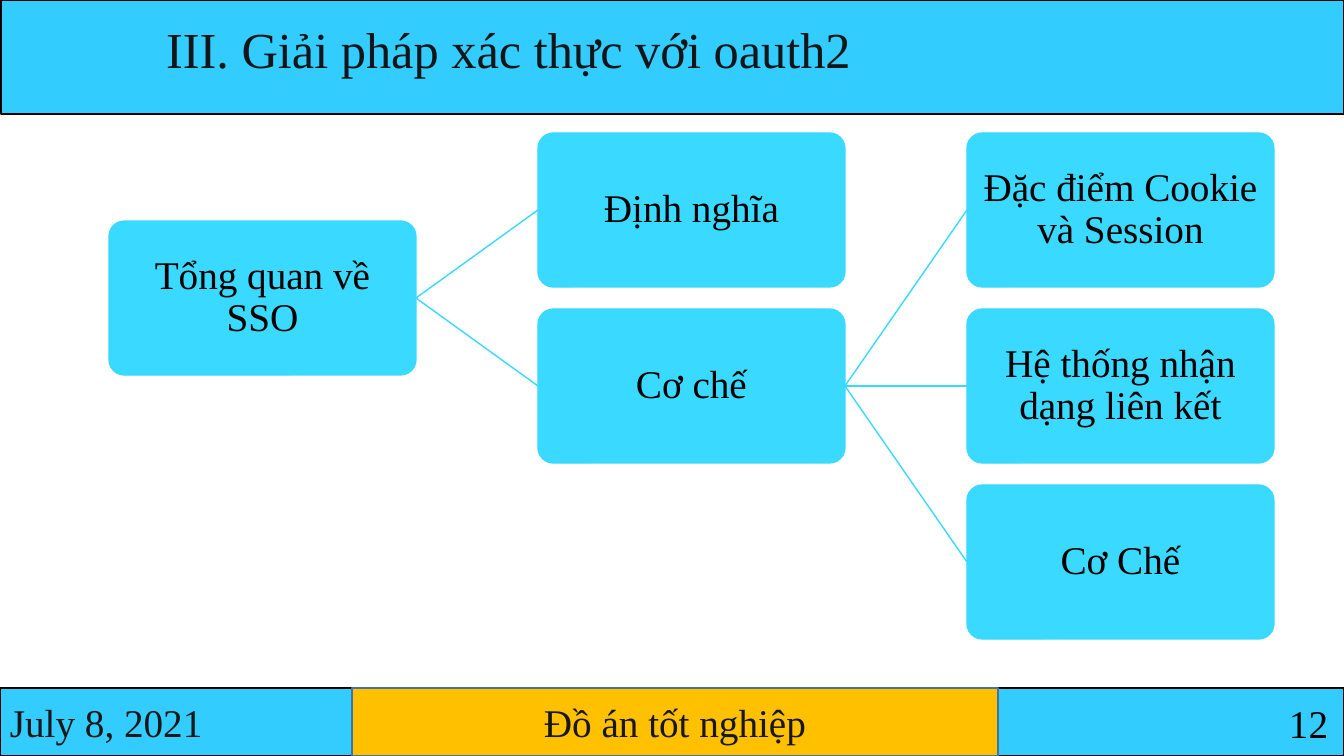
"""Build the slide with the SSO overview tree."""
from lxml import etree
from pptx import Presentation
from pptx.dml.color import RGBColor
from pptx.enum.shapes import MSO_CONNECTOR, MSO_SHAPE
from pptx.enum.text import MSO_ANCHOR, MSO_AUTO_SIZE, PP_ALIGN
from pptx.oxml.ns import qn
from pptx.util import Emu, Pt

RECT, ROUNDED = MSO_SHAPE.RECTANGLE, MSO_SHAPE.ROUNDED_RECTANGLE
STRAIGHT = MSO_CONNECTOR.STRAIGHT
TOP, MIDDLE = MSO_ANCHOR.TOP, MSO_ANCHOR.MIDDLE
LEFT, CENTER, RIGHT = PP_ALIGN.LEFT, PP_ALIGN.CENTER, PP_ALIGN.RIGHT
NO_FIT = MSO_AUTO_SIZE.NONE

BAR_BLUE = RGBColor(0x33, 0xCC, 0xFF)
NODE_BLUE = RGBColor(0x3A, 0xD9, 0xFF)
GOLD = RGBColor(0xFF, 0xC0, 0x00)
STEEL = RGBColor(0x43, 0x73, 0x9E)
BLACK = RGBColor(0x00, 0x00, 0x00)
FOOTER_INK = RGBColor(0x18, 0x17, 0x17)
TITLE_INK = RGBColor(0x13, 0x16, 0x18)

FONT = "Times New Roman"
NODE_W, NODE_H = 307, 154
TREE_LEFT, TREE_TOP = 109, 133
COL_STEP, ROW_STEP = 429, 176

NODES = [
    ("root", None, 0, 0.5, "Tổng quan về SSO"),
    ("definition", "root", 1, 0, "Định nghĩa"),
    ("mechanism", "root", 1, 1, "Cơ chế"),
    ("cookie", "mechanism", 2, 0, "Đặc điểm Cookie và Session"),
    ("federation", "mechanism", 2, 1, "Hệ thống nhận dạng liên kết"),
    ("steps", "mechanism", 2, 2, "Cơ Chế"),
]


def px(n):
    """Turn pixels into EMU."""
    return Emu(round(n * 914400 / 100.8))


def set_text(sp, text, color, size=28, align=LEFT, anchor=MIDDLE):
    """Write one formatted paragraph into a shape and return it."""
    tf = sp.text_frame
    tf.text = text
    tf.word_wrap = True
    tf.auto_size = NO_FIT
    tf.vertical_anchor = anchor
    p = tf.paragraphs[0]
    p.alignment = align
    font = p.runs[0].font
    font.name, font.size, font.color.rgb = FONT, Pt(size), color
    return p


def add_box(s, kind, box, fill, line):
    """Add a filled and outlined preset shape."""
    sp = s.shapes.add_shape(kind, *map(px, box))
    sp.shadow.inherit = False
    sp.fill.solid()
    sp.fill.fore_color.rgb = fill
    sp.line.color.rgb = line
    sp.line.width = Pt(1)
    return sp


def add_node(s, col, row, text):
    """Add a tree node at a grid place."""
    box = (TREE_LEFT + col * COL_STEP, TREE_TOP + int(row * ROW_STEP), NODE_W, NODE_H)
    sp = add_box(s, ROUNDED, box, NODE_BLUE, NODE_BLUE)
    sp.adjustments[0] = 0.1
    tf = sp.text_frame
    tf.margin_left = tf.margin_right = tf.margin_top = tf.margin_bottom = px(6)
    set_text(sp, text, BLACK, align=CENTER).line_spacing = 0.9
    return sp


def add_link(s, parent, child):
    """Join the right side of a parent to the left side of its child."""
    link = s.shapes.add_connector(STRAIGHT, 0, 0, 0, 0)
    link.begin_connect(parent, 3)
    link.end_connect(child, 1)
    link.line.color.rgb = NODE_BLUE
    link.line.width = Pt(1)
    etree.SubElement(link.element.spPr, qn("a:effectLst"))


def add_title(s, text):
    """Place the title on top of the header bar."""
    add_box(s, RECT, (1, 0, 1343, 114), BAR_BLUE, BLACK)
    title = s.shapes.title
    title.left, title.top, title.width, title.height = map(px, (156, 13, 809, 72))
    set_text(title, text, TITLE_INK, 36, anchor=TOP).line_spacing = 1.0
    title.element.getparent().append(title.element)


def add_footer(s, date, label, number):
    """Add the footer bar with date, label and page number."""
    bar = add_box(s, RECT, (0, 688, 1344, 68), BAR_BLUE, BLACK)
    set_text(bar, date, FOOTER_INK)
    middle = add_box(s, RECT, (352, 688, 646, 68), GOLD, STEEL)
    set_text(middle, label, FOOTER_INK, align=CENTER)
    page = s.shapes.add_textbox(*map(px, (1047, 694, 291, 57)))
    set_text(page, number, BLACK, align=RIGHT, anchor=TOP)


def add_tree(s):
    """Add all nodes and the links to their parents."""
    placed = {}
    for key, parent, col, row, text in NODES:
        placed[key] = add_node(s, col, row, text)
        if parent:
            add_link(s, placed[parent], placed[key])


def main():
    """Build and save the slide."""
    prs = Presentation()
    prs.slide_width, prs.slide_height = px(1344), px(756)
    s = prs.slides.add_slide(prs.slide_layouts[5])
    add_title(s, "III. Giải pháp xác thực với oauth2")
    add_footer(s, "July 8, 2021", "Đồ án tốt nghiệp", "12")
    add_tree(s)
    prs.save("out.pptx")


if __name__ == "__main__":
    main()
